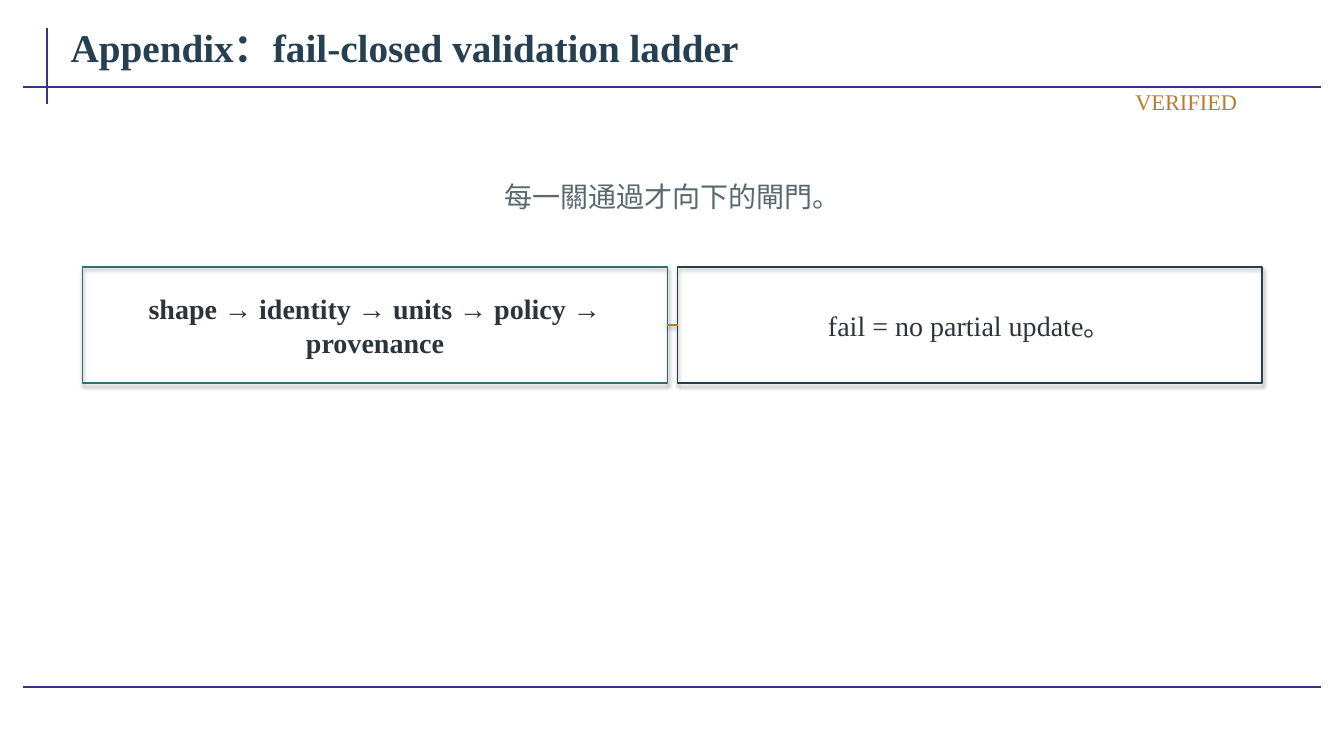
"""Build the fail-closed validation ladder slide."""
import pptx
import pptx.util
import pptx.dml.color
import pptx.enum.shapes
import pptx.enum.text
import pptx.oxml

WIDTH, HEIGHT = 13.33, 7.5
FONT = "Times New Roman"
NAVY, INK, GOLD, RULE = "263F51", "2A343A", "B77D2D", "35377F"
ALIGN = pptx.enum.text.PP_ALIGN

RULES = [(0.47, 0.28, 0.47, 1.03), (0.23, 0.86, 13.1, 0.86), (0.23, 6.82, 13.1, 6.82)]
LABELS = [
    ("Appendix：fail-closed validation ladder", (0.62, 0.15, 12.49, 0.62), 28, NAVY, True, ALIGN.LEFT),
    ("每一關通過才向下的閘門。", (0.92, 1.65, 11.5, 0.6), 20, "59686F", False, ALIGN.CENTER),
    ("VERIFIED", (9.15, 0.86, 3.2, 0.3), 16, GOLD, False, ALIGN.RIGHT),
]
GATES = [
    ("shape → identity → units → policy → provenance", "2F6F70", True),
    ("fail = no partial update。", NAVY, False),
]
GATE_LEFT, GATE_TOP, GATE_WIDTH, GATE_HEIGHT, GATE_GAP = 0.82, 2.65, 5.8, 1.15, 0.1
PAD_X, PAD_Y = 0.05, 0.1


def rgb(value):
    return pptx.dml.color.RGBColor.from_string(value)


def inches(*values):
    return [pptx.util.Inches(v) for v in values]


def set_effect(s, opacity=0, distance=0):
    shadow = (
        f'<a:outerShdw blurRad="{pptx.util.Pt(3.1)}" dist="{pptx.util.Pt(distance)}" '
        'dir="5400000" rotWithShape="0"><a:srgbClr val="000000">'
        f'<a:alpha val="{opacity * 1000}"/></a:srgbClr></a:outerShdw>'
    ) if opacity else ""
    s._element.spPr.append(pptx.oxml.parse_xml(
        '<a:effectLst xmlns:a="http://schemas.openxmlformats.org/drawingml/2006/main">'
        f'{shadow}</a:effectLst>'))


def set_line(s, color, width):
    s.line.color.rgb = rgb(color)
    s.line.width = pptx.util.Pt(width)


def add_line(slide, ends, color, width):
    s = slide.shapes.add_connector(
        pptx.enum.shapes.MSO_CONNECTOR.STRAIGHT, *inches(*ends))
    set_line(s, color, width)
    return s


def add_label(slide, text, box, size, color, bold, align):
    tf = slide.shapes.add_textbox(*inches(*box)).text_frame
    tf.word_wrap = True
    tf.vertical_anchor = pptx.enum.text.MSO_ANCHOR.MIDDLE
    tf.margin_left = tf.margin_right = pptx.util.Inches(0.08)
    tf.margin_top = tf.margin_bottom = pptx.util.Inches(0.04)
    p = tf.paragraphs[0]
    p.text = text
    p.alignment = align
    p.font.name = FONT
    p.font.size = pptx.util.Pt(size)
    p.font.bold = bold
    p.font.color.rgb = rgb(color)


def add_gate(slide, index, text, color, bold):
    left = GATE_LEFT + index * (GATE_WIDTH + GATE_GAP)
    s = slide.shapes.add_shape(
        pptx.enum.shapes.MSO_SHAPE.RECTANGLE,
        *inches(left, GATE_TOP, GATE_WIDTH, GATE_HEIGHT))
    s.fill.background()
    set_line(s, color, 1.2)
    set_effect(s, 35, 1.8)
    box = (left + PAD_X, GATE_TOP + PAD_Y, GATE_WIDTH - 2 * PAD_X, GATE_HEIGHT - 2 * PAD_Y)
    add_label(slide, text, box, 20, INK, bold, ALIGN.CENTER)
    return s


def main():
    prs = pptx.Presentation()
    prs.slide_width, prs.slide_height = inches(WIDTH, HEIGHT)
    slide = prs.slides.add_slide(prs.slide_layouts[6])
    for ends in RULES:
        set_effect(add_line(slide, ends, RULE, 1.5))
    gates = [add_gate(slide, i, *gate) for i, gate in enumerate(GATES)]
    for start, end in zip(gates, gates[1:]):
        link = add_line(slide, (0, 0, 0, 0), GOLD, 1.2)
        link.begin_connect(start, 3)
        link.end_connect(end, 1)
        set_effect(link, 38, 1.6)
    for label in LABELS:
        add_label(slide, *label)
    prs.save("out.pptx")


if __name__ == "__main__":
    main()
